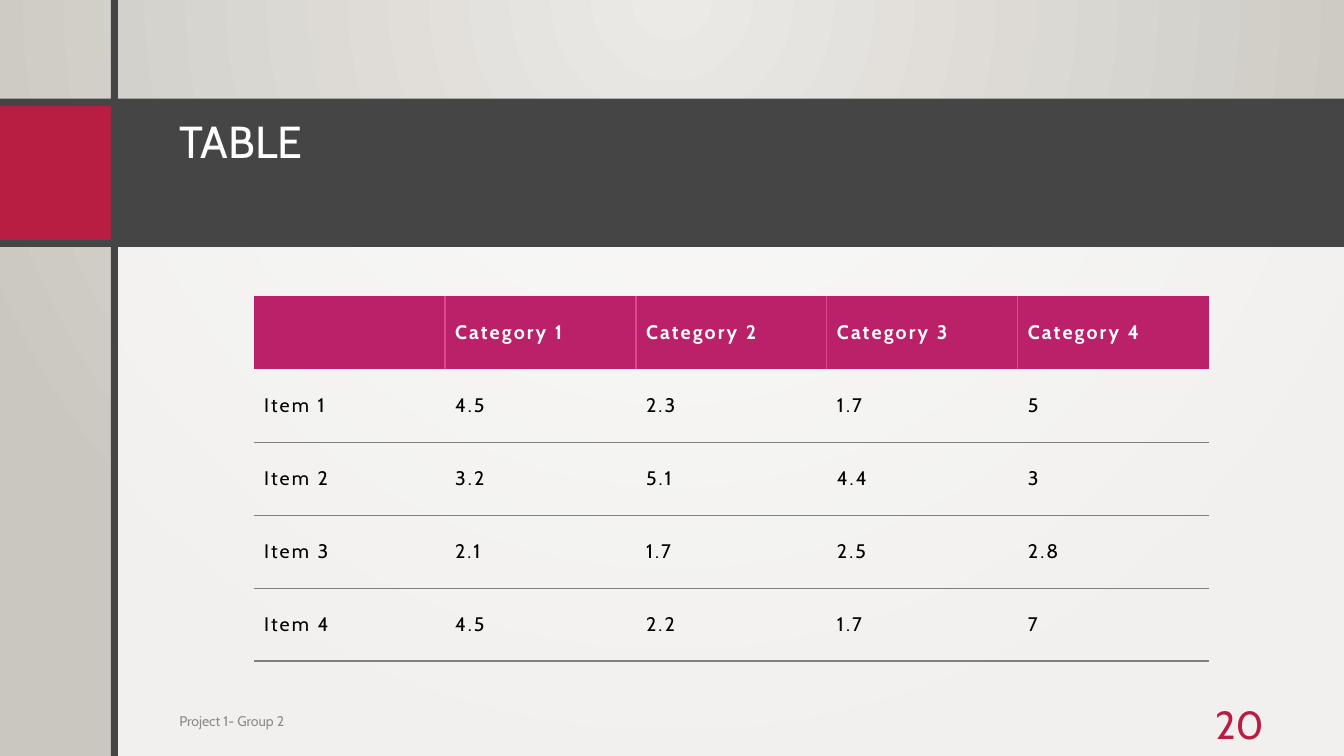
import pptx
import pptx.dml.color
import pptx.enum.shapes
import pptx.enum.text
import pptx.oxml
import pptx.oxml.ns
import pptx.util

Inches = pptx.util.Inches
Pt = pptx.util.Pt
RGB = pptx.dml.color.RGBColor.from_string
qn = pptx.oxml.ns.qn
ANCHOR = pptx.enum.text.MSO_ANCHOR
ALIGN = pptx.enum.text.PP_ALIGN
NS = pptx.oxml.ns.nsdecls("a")

FONT = "Cabin"
COLORS = {
    "bg_light": "ECEAE7",
    "bg_dark": "CAC7C1",
    "white": "FFFFFF",
    "black": "000000",
    "band": "454545",
    "accent": "B71E42",
    "footer": "8C8C8C",
    "header": "BA2169",
    "header_line": "DE478E",
    "row_line": "808080",
}


def add_text(text, box, size, color, anchor=ANCHOR.TOP, align=ALIGN.LEFT):
    tf = slide.shapes.add_textbox(*map(Inches, box)).text_frame
    tf.word_wrap = True
    tf.vertical_anchor = anchor
    p = tf.paragraphs[0]
    p.text = text
    p.alignment = align
    p.font.name = FONT
    p.font.size = Pt(size)
    p.font.color.rgb = RGB(COLORS[color])
    return p


def add_border(cell, side, color):
    cell._tc.get_or_add_tcPr().append(pptx.oxml.parse_xml(
        f'<a:ln{side} {NS} w="12700"><a:solidFill><a:srgbClr val="{COLORS[color]}"/>'
        f'</a:solidFill><a:prstDash val="solid"/></a:ln{side}>'))


prs = pptx.Presentation()
prs.slide_width = Inches(13.33)
prs.slide_height = Inches(7.5)
slide = prs.slides.add_slide(prs.slide_layouts[6])

fill = slide.background.fill
fill.gradient()
for stop, color in zip(fill.gradient_stops, ("bg_light", "bg_dark")):
    stop.color.rgb = RGB(COLORS[color])
lin = slide._element.find(".//" + qn("a:lin"))
lin.getparent().replace(lin, pptx.oxml.parse_xml(
    f'<a:path {NS} path="circle"><a:fillToRect l="43000" t="0" r="43000" b="100000"/></a:path>'))

panels = [
    ((1.14, 2.33, 12.19, 5.17), "white"),
    ((0, 0.98, 13.33, 1.47), "band"),
    ((0, 1.05, 1.1, 1.33), "accent"),
    ((1.1, 0, 0.07, 7.5), "band"),
]
for box, color in panels:
    sp = slide.shapes.add_shape(pptx.enum.shapes.MSO_SHAPE.RECTANGLE, *map(Inches, box))
    sp.shadow.inherit = False
    sp.line.fill.background()
    sp.fill.solid()
    sp.fill.fore_color.rgb = RGB(COLORS[color])
    if color == "white":
        clr = sp._element.spPr.find(".//" + qn("a:srgbClr"))
        clr.append(pptx.oxml.parse_xml(f'<a:alpha {NS} val="75000"/>'))

title = add_text("TABLE", (1.68, 1.14, 10.95, 1.13), 32, "white")
title.line_spacing = 0.9
add_text("Project 1- Group 2", (1.68, 6.9, 6.27, 0.5), 10, "footer", ANCHOR.MIDDLE)
add_text("20", (11.56, 6.9, 1.07, 0.5), 28, "accent", align=ALIGN.RIGHT)

rows = [
    ["", "Category 1", "Category 2", "Category 3", "Category 4"],
    ["Item 1", "4.5", "2.3", "1.7", "5"],
    ["Item 2", "3.2", "5.1", "4.4", "3"],
    ["Item 3", "2.1", "1.7", "2.5", "2.8"],
    ["Item 4", "4.5", "2.2", "1.7", "7"],
]
last = len(rows[0]) - 1
frame = slide.shapes.add_table(
    len(rows), len(rows[0]), Inches(2.52), Inches(2.94), Inches(9.47), Inches(3.62))
table = frame.table
table.horz_banding = False
style = table._tbl.tblPr.find(qn("a:tableStyleId"))
style.text = "{2D5ABB26-0587-4C30-8999-92F81FD0307C}"

for i, row in enumerate(rows):
    for j, text in enumerate(row):
        cell = table.cell(i, j)
        cell.vertical_anchor = ANCHOR.MIDDLE
        if i == 0:
            if j > 0:
                add_border(cell, "L", "header_line")
            if j < last:
                add_border(cell, "R", "header_line")
            cell.fill.solid()
            cell.fill.fore_color.rgb = RGB(COLORS["header"])
        else:
            add_border(cell, "B", "row_line")
            cell.fill.background()
        if not text:
            continue
        p = cell.text_frame.paragraphs[0]
        p.text = text
        p.font.name = FONT
        p.font.size = Pt(14)
        p.font.bold = i == 0
        p.font.color.rgb = RGB(COLORS["white" if i == 0 else "black"])
        p.runs[0]._r.get_or_add_rPr().set("spc", "150")

prs.save("out.pptx")
